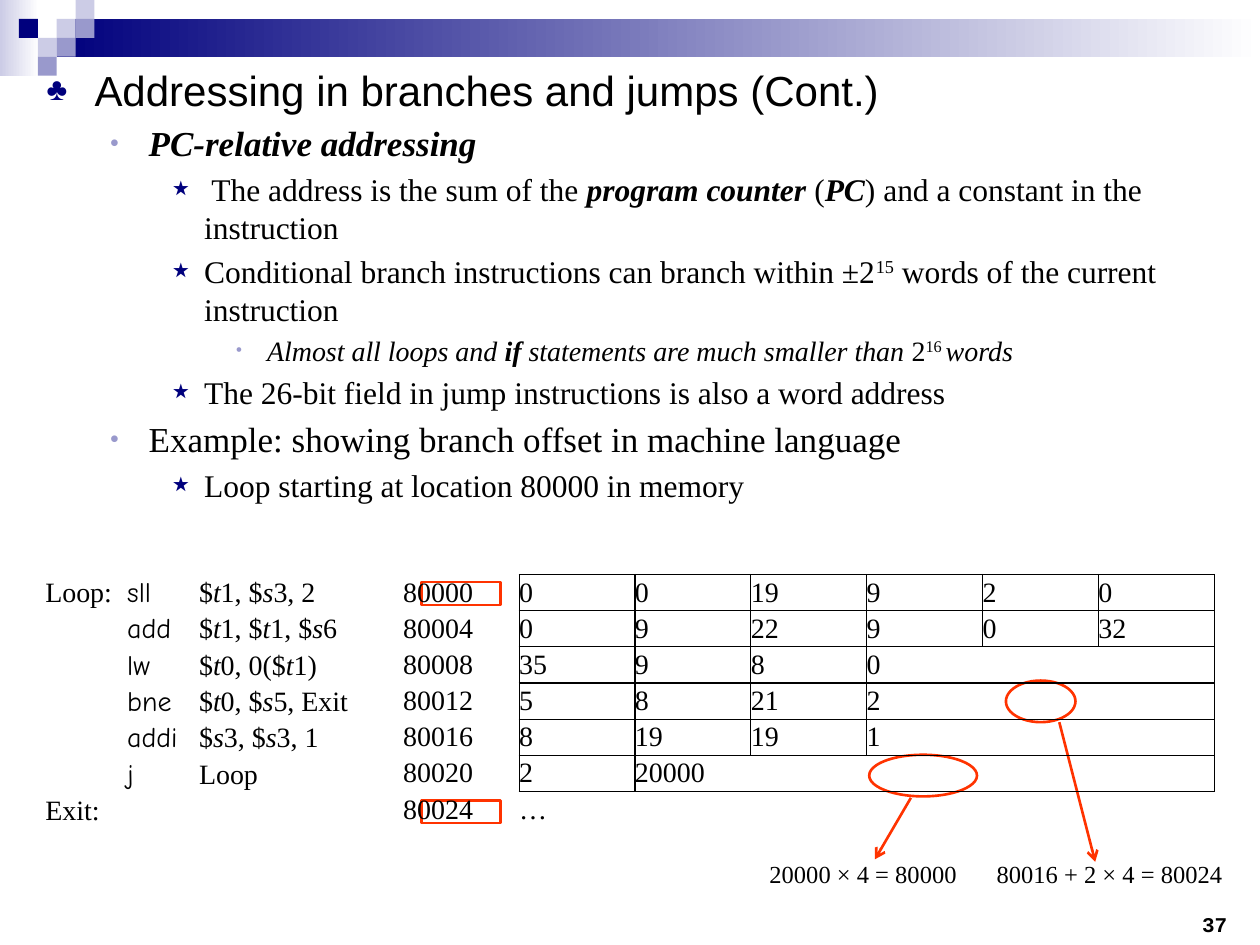
from dataclasses import dataclass

from lxml import etree
from pptx import Presentation
from pptx.dml.color import RGBColor
from pptx.enum.shapes import MSO_CONNECTOR, MSO_SHAPE
from pptx.enum.text import MSO_ANCHOR, MSO_AUTO_SIZE, PP_ALIGN
from pptx.oxml.ns import qn
from pptx.util import Inches, Pt

RECTANGLE, OVAL = MSO_SHAPE.RECTANGLE, MSO_SHAPE.OVAL
STRAIGHT = MSO_CONNECTOR.STRAIGHT
MIDDLE, CENTER = MSO_ANCHOR.MIDDLE, PP_ALIGN.CENTER
NO_AUTOFIT = MSO_AUTO_SIZE.NONE
PLAIN_TABLE = "{2D5ABB26-0587-4C30-8999-92F81FD0307C}"


@dataclass(frozen=True)
class Theme:
    navy: str = "00007D"
    violet: str = "9999CC"
    lilac: str = "CCCCE6"
    white: str = "FFFFFF"
    black: str = "000000"
    mark: str = "FF3300"
    heading: str = "Arial"
    serif: str = "Times New Roman"
    code: str = "Comic Neue"
    mono: str = "Courier New"
    levels: tuple = (24, 20, 18, 16)
    listing: int = 16
    label: int = 14
    number: int = 12
    rule: float = 0.75
    stroke: float = 1.5


THEME = Theme()

# Per outline level: left margin, hanging indent, bullet, colour, size in percent
BULLETS = (
    (0.38, 0.38, "♣", THEME.navy, 75),
    (0.81, 0.31, "•", THEME.violet, 80),
    (1.25, 0.25, "★", THEME.navy, 65),
    (1.75, 0.25, "•", THEME.violet, 70),
)

# Level and runs; flags: b bold, i italic, ^ superscript
OUTLINE = (
    (0, [("Addressing in branches and jumps (Cont.)", "")]),
    (1, [("PC-relative addressing", "bi")]),
    (2, [(" The address is the sum of the ", ""), ("program counter ", "bi"), ("(", ""),
         ("PC", "bi"), (") and a constant in the instruction", "")]),
    (2, [("Conditional branch instructions can branch within ±2", ""), ("15", "^"),
         (" words of the current instruction", "")]),
    (3, [("Almost all loops and ", "i"), ("if", "bi"),
         (" statements are much smaller than ", "i"), ("2", ""), ("16 ", "^"), ("words", "i")]),
    (2, [("The 26-bit field in jump instructions is also a word address", "")]),
    (1, [("Example: showing branch offset in machine language", "")]),
    (2, [("Loop starting at location 80000 in memory", "")]),
)

ASSEMBLY = (
    ("Loop:", "sll", "$t1, $s3, 2"),
    ("", "add", "$t1, $t1, $s6"),
    ("", "lw", "$t0, 0($t1)"),
    ("", "bne", "$t0, $s5, Exit"),
    ("", "addi", "$s3, $s3, 1"),
    ("", "j", "Loop"),
    ("Exit:", "", ""),
)

MACHINE_CODE = (
    ("80000", "0", "0", "19", "9", "2", "0"),
    ("80004", "0", "9", "22", "9", "0", "32"),
    ("80008", "35", "9", "8", "0"),
    ("80012", "5", "8", "21", "2"),
    ("80016", "8", "19", "19", "1"),
    ("80020", "2", "20000"),
    ("80024", "…", "", "", "", "", ""),
)


def rgb(color):
    return RGBColor.from_string(color)


def child(parent, tag, **attributes):
    return etree.SubElement(parent, qn(tag), {key: str(value) for key, value in attributes.items()})


def space_before(paragraph, percent):
    properties = paragraph._p.get_or_add_pPr()
    child(child(properties, "a:spcBef"), "a:spcPct", val=percent * 1000)
    return properties


def add_run(paragraph, text, size, font=THEME.serif, flags=""):
    run = paragraph.add_run()
    run.text = text
    run.font.size, run.font.name = Pt(size), font
    run.font.color.rgb = rgb(THEME.black)
    run.font.bold, run.font.italic = "b" in flags, "i" in flags
    if "^" in flags:
        run.font._element.set("baseline", "30000")


def add_box(slide, box, kind=RECTANGLE, colors=(), line=None):
    shape = slide.shapes.add_shape(kind, *map(Inches, box))
    shape.shadow.inherit = False
    if len(colors) == 2:
        shape.fill.gradient()
        shape.fill.gradient_angle = 0
        for stop, color in zip(shape.fill.gradient_stops, colors):
            stop.color.rgb = rgb(color)
    elif colors:
        shape.fill.solid()
        shape.fill.fore_color.rgb = rgb(colors[0])
    else:
        shape.fill.background()
    if line:
        shape.line.color.rgb, shape.line.width = rgb(line), Pt(THEME.stroke)
    else:
        shape.line.fill.background()


def add_text_frame(slide, box):
    frame = slide.shapes.add_textbox(*map(Inches, box)).text_frame
    frame.word_wrap = True
    frame.margin_left = frame.margin_right = frame.margin_top = frame.margin_bottom = 0
    return frame


def draw_banner(slide, box):
    left, top, width, height = box
    unit = height / 4  # the squares sit on a grid of four rows
    add_box(slide, (left, top, 0.31, height), colors=(THEME.lilac, THEME.white))
    add_box(slide, (left + 3 * unit, top + unit, width - 3 * unit, 2 * unit),
            colors=(THEME.navy, THEME.white))
    squares = ((3, 1, THEME.lilac), (4, 0, THEME.lilac), (4, 1, THEME.violet),
               (2, 2, THEME.lilac), (1, 1, THEME.navy), (3, 2, THEME.violet),
               (2, 3, THEME.violet))
    for column, row, color in squares:
        add_box(slide, (left + column * unit, top + row * unit, unit, unit), colors=(color,))


def write_outline(placeholder, box):
    placeholder.left, placeholder.top, placeholder.width, placeholder.height = map(Inches, box)
    frame = placeholder.text_frame
    frame.auto_size, frame.word_wrap = NO_AUTOFIT, True
    for index, (level, runs) in enumerate(OUTLINE):
        paragraph = frame.add_paragraph() if index else frame.paragraphs[0]
        paragraph.level = level
        margin, hanging, bullet, color, percent = BULLETS[level]
        properties = space_before(paragraph, 20)
        properties.set("marL", str(Inches(margin)))
        properties.set("indent", str(-Inches(hanging)))
        child(child(properties, "a:buClr"), "a:srgbClr", val=color)
        child(properties, "a:buSzPct", val=percent * 1000)
        child(properties, "a:buFont", typeface=THEME.serif)
        child(properties, "a:buChar", char=bullet)
        for text, flags in runs:
            add_run(paragraph, text, THEME.levels[level],
                    THEME.serif if level else THEME.heading, flags)


def write_assembly(slide, box):
    frame = add_text_frame(slide, box)
    for index, (label, operation, operands) in enumerate(ASSEMBLY):
        paragraph = frame.add_paragraph() if index else frame.paragraphs[0]
        tabs = child(space_before(paragraph, 10), "a:tabLst")
        for position in (0.65, 1.22):
            child(tabs, "a:tab", pos=Inches(position), algn="l")
        add_run(paragraph, label + ("\t" if operation else ""), THEME.listing)
        if not operation:
            continue
        add_run(paragraph, operation + "\t", THEME.listing, THEME.code)
        # The letter after each dollar sign is italic
        start, *registers = operands.split("$")
        pieces = [(start, "")]
        for register in registers:
            pieces += [("$", ""), (register[0], "i"), (register[1:], "")]
        for text, flags in pieces:
            if text:
                add_run(paragraph, text, THEME.listing, flags=flags)


def draw_machine_code(slide, box):
    rows, columns = len(MACHINE_CODE), len(MACHINE_CODE[0])
    table = slide.shapes.add_table(rows, columns, *map(Inches, box)).table
    table.first_row = table.horz_banding = False
    table._tbl.tblPr.find(qn("a:tableStyleId")).text = PLAIN_TABLE
    for row, values in enumerate(MACHINE_CODE):
        last = len(values) - 1
        if last < columns - 1:
            table.cell(row, last).merge(table.cell(row, columns - 1))
        for column in range(columns):
            cell = table.cell(row, column)
            cell.margin_left = cell.margin_right = cell.margin_top = cell.margin_bottom = 0
            cell.vertical_anchor = MIDDLE
            paragraph = cell.text_frame.paragraphs[0]
            space_before(paragraph, 20)
            if column <= last and values[column]:
                add_run(paragraph, values[column], THEME.listing)
            else:
                child(paragraph._p, "a:endParaRPr", sz=THEME.listing * 100)
            # Only the instruction fields are ruled
            ruled = "LRTB" if column and row < rows - 1 else "T" if column else "R"
            if row == rows - 1 and not column:
                ruled = ""
            properties = cell._tc.get_or_add_tcPr()
            for side in "LRTB":
                edge = child(properties, "a:ln" + side, w=Pt(THEME.rule))
                if side in ruled:
                    child(child(edge, "a:solidFill"), "a:srgbClr", val=THEME.black)
                else:
                    child(edge, "a:noFill")
            cell.fill.background()


def draw_annotations(slide, box):
    left, top, width, height = box
    column, row = width / 7, height / 7

    def place(x, y, *size):
        scaled = [share * unit for share, unit in zip(size, (column, row))]
        return (left + x * column, top + y * row, *scaled)

    # Marks, labels and arrows in columns and rows of the table
    for kind, *area in ((RECTANGLE, 0.16, 0.21, 0.68, 0.63), (RECTANGLE, 0.16, 6.24, 0.68, 0.63),
                        (OVAL, 5.2, 2.93, 0.6, 1.15), (OVAL, 4.02, 4.98, 0.93, 1.15)):
        add_box(slide, place(*area), kind, line=THEME.mark)
    for text, *area in (("80016 + 2 × 4 = 80024", 5.12, 7.87, 2.03, 0.8),
                        ("20000 × 4 = 80000", 3.16, 7.87, 1.65, 0.8)):
        paragraph = add_text_frame(slide, place(*area)).paragraphs[0]
        space_before(paragraph, 50)
        add_run(paragraph, text, THEME.label)
    for start, end in (((4.38, 6.17), (4.07, 7.87)), ((5.66, 4.08), (5.97, 7.94))):
        arrow = slide.shapes.add_connector(STRAIGHT, *map(Inches, place(*start) + place(*end)))
        arrow.line.color.rgb, arrow.line.width = rgb(THEME.mark), Pt(THEME.stroke)
        child(arrow.line._get_or_add_ln(), "a:tailEnd", type="arrow")
        child(arrow._element.spPr, "a:effectLst")


def write_page_number(slide, box):
    frame = add_text_frame(slide, box)
    frame.vertical_anchor = MIDDLE
    frame.paragraphs[0].alignment = CENTER
    add_run(frame.paragraphs[0], "37", THEME.number, THEME.mono, "b")


presentation = Presentation()
presentation.slide_width, presentation.slide_height = Inches(10), Inches(7.5)
slide = presentation.slides.add_slide(presentation.slide_layouts[1])
title = slide.shapes.title._element
title.getparent().remove(title)  # the heading is the first outline level
TABLE_BOX = (3.2, 4.56, 6.44, 2.01)
draw_banner(slide, (0, 0, 10, 0.6))
write_page_number(slide, (9.29, 7.22, 0.7, 0.23))
write_outline(slide.placeholders[1], (0.27, 0.46, 9.53, 3.76))
write_assembly(slide, (0.36, 4.56, 2.43, 2.03))
draw_annotations(slide, TABLE_BOX)
draw_machine_code(slide, TABLE_BOX)
presentation.save("out.pptx")
